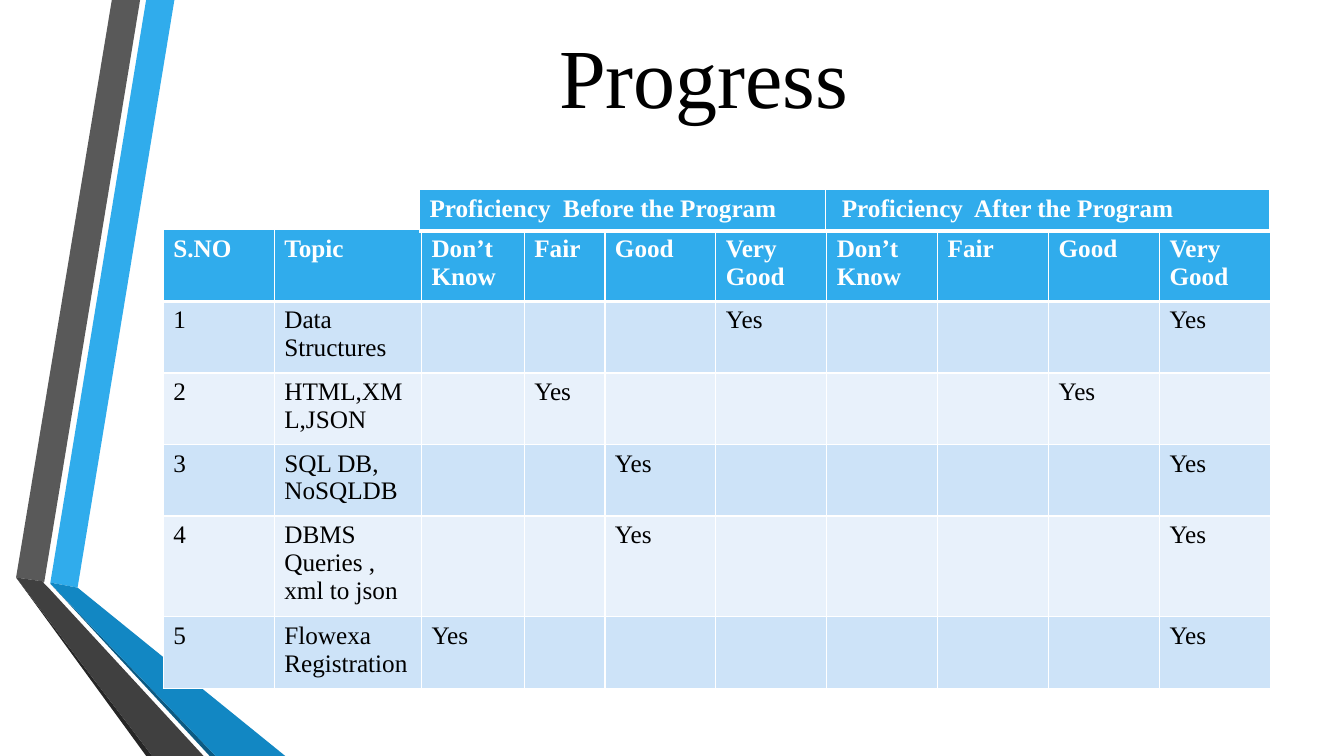
import pptx
import pptx.dml.color
import pptx.enum.text
import pptx.oxml
import pptx.oxml.ns
import pptx.util

RGBColor = pptx.dml.color.RGBColor
PX = 9144  # EMU per px, at 100 px to the inch
FONT = "Times New Roman"
WHITE = RGBColor(0xFF, 0xFF, 0xFF)
BLACK = RGBColor(0x00, 0x00, 0x00)
BLUE = RGBColor(0x30, 0xAC, 0xEC)
MID_BLUE = RGBColor(0x12, 0x87, 0xC3)
DEEP_BLUE = RGBColor(0x0C, 0x5A, 0x82)
GRAY = RGBColor(0x59, 0x59, 0x59)
DARK_GRAY = RGBColor(0x40, 0x40, 0x40)
DEEP_GRAY = RGBColor(0x26, 0x26, 0x26)
BAND_DARK = RGBColor(0xCD, 0xE3, 0xF8)
BAND_LIGHT = RGBColor(0xE8, 0xF1, 0xFB)


def add_text(frame, text, size, color, bold=False):
    """Write each line of text as a paragraph of one run."""
    for index, line in enumerate(text.split("\n")):
        para = frame.paragraphs[0] if index == 0 else frame.add_paragraph()
        span = para.add_run()
        span.text = line
        span.font.name = FONT
        span.font.size = pptx.util.Pt(size)
        span.font.bold = bold
        span.font.color.rgb = color


def style_cell(cell, text, fill, header):
    """Give a cell white borders, a fill and its text."""
    properties = cell._tc.get_or_add_tcPr()
    for side in "LRTB":
        width = 3 if header and side == "B" else 1
        properties.append(pptx.oxml.parse_xml(
            f'<a:ln{side} {pptx.oxml.ns.nsdecls("a")} w="{pptx.util.Pt(width)}">'
            f'<a:solidFill><a:srgbClr val="{WHITE}"/></a:solidFill></a:ln{side}>'))
    cell.fill.solid()
    cell.fill.fore_color.rgb = fill
    if text:
        add_text(cell.text_frame, text, 18, WHITE if header else BLACK, header)


deck = pptx.Presentation()
deck.slide_width, deck.slide_height = 1333 * PX, 750 * PX
page = deck.slides.add_slide(deck.slide_layouts[6])

# Folded ribbons along the left edge
ribbons = [
    (BLUE, [(50, 578), (77, 583), (173, 0), (145, 0)]),
    (GRAY, [(139, 0), (111, 0), (16, 573), (44, 577)]),
    (DEEP_GRAY, [(16, 573), (145, 750), (151, 750)]),
    (DEEP_BLUE, [(50, 579), (208, 750), (214, 750)]),
    (MID_BLUE, [(50, 579), (214, 750), (283, 750), (77, 583), (50, 578)]),
    (DARK_GRAY, [(202, 750), (48, 583), (43, 578), (44, 577), (16, 573), (151, 750)]),
]
for color, points in ribbons:
    builder = page.shapes.build_freeform(*points[0], scale=PX)
    builder.add_line_segments(points[1:], close=True)
    ribbon = builder.convert_to_shape()
    ribbon.shadow.inherit = False
    ribbon.fill.solid()
    ribbon.fill.fore_color.rgb = color
    ribbon.line.fill.background()

title = page.shapes.add_textbox(150 * PX, 10 * PX, 1096 * PX, 129 * PX)
title.text_frame.word_wrap = True
title.text_frame.vertical_anchor = pptx.enum.text.MSO_ANCHOR.MIDDLE
add_text(title.text_frame, "Progress", 60, BLACK)
title.text_frame.paragraphs[0].alignment = pptx.enum.text.PP_ALIGN.CENTER

# Each topic with its level before and after the program
levels = ["Don’t Know", "Fair", "Good", "Very Good"]
topics = [
    ("Data\u0020Structures", "Very Good", "Very Good"),
    ("HTML,XML,JSON", "Fair", "Good"),
    ("SQL DB,\nNoSQLDB", "Good", "Very Good"),
    ("DBMS Queries , xml to json", "Good", "Very Good"),
    ("Flowexa Registration", "Don’t Know", "Very Good"),
]
progress_rows = [["S.NO", "Topic"] + levels * 2]
for number, (topic, before, after) in enumerate(topics, 1):
    marks = ["Yes" if level == reached else ""
             for reached in (before, after) for level in levels]
    progress_rows.append([str(number), topic] + marks)
period_rows = [["Proficiency  Before the Program", "Proficiency  After the Program"]]

tables = [
    ((162, 228, 1096, 456), [110, 146, 102, 80] + [110] * 6, 71, progress_rows),
    ((416, 188, 842, 41), [403, 440], 41, period_rows),
]
for place, widths, row_height, rows in tables:
    frame = page.shapes.add_table(len(rows), len(widths), *(n * PX for n in place))
    table = frame.table
    for column, width in zip(table.columns, widths):
        column.width = width * PX
    for row_index, texts in enumerate(rows):
        table.rows[row_index].height = row_height * PX
        band = BAND_DARK if row_index % 2 else BAND_LIGHT
        for column_index, text in enumerate(texts):
            style_cell(table.cell(row_index, column_index), text,
                       band if row_index else BLUE, row_index == 0)

# The loop ends on the period table; its second heading is set in a little
table.cell(0, 1).margin_left = 16 * PX

deck.save("out.pptx")
